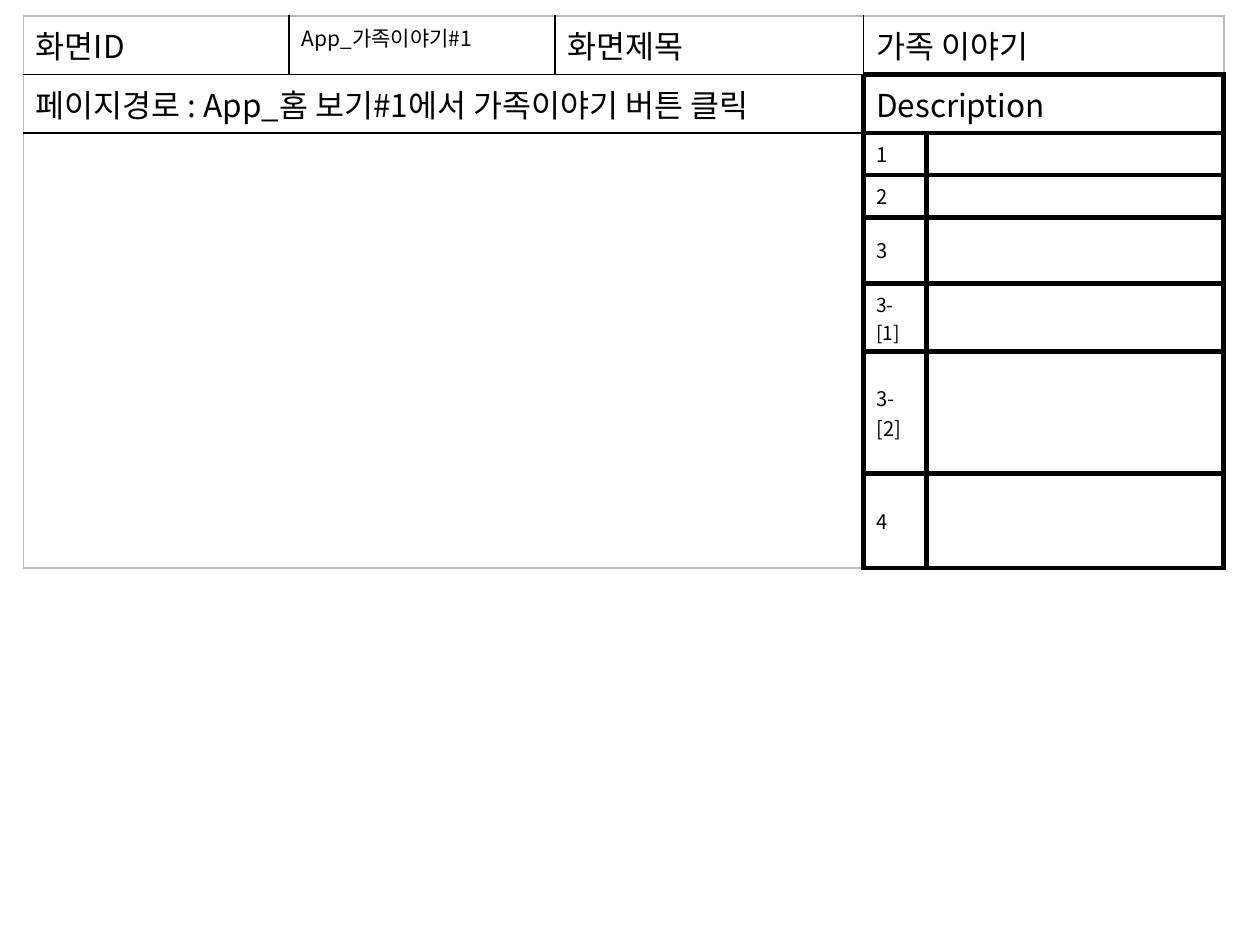
from lxml.etree import SubElement as Sub
from pptx import Presentation as Deck
from pptx.dml.color import RGBColor as Rgb
from pptx.enum.text import MSO_ANCHOR as Anchor
from pptx.oxml import parse_xml as to_xml
from pptx.oxml.ns import nsdecls, qn
from pptx.util import Cm, Pt

FACE = "Noto Sans CJK KR"
INK, EDGE = "000000", "B8B8B8"
COLS = [5.36, 5.36, 6.22, 1.27, 5.99]
ROWS = [1.18, 1.18, 0.85, 0.85, 1.33, 1.37, 2.46, 1.9]
HEAD = [
    (0, 0, 1, 1, "화면ID", 18),
    (0, 1, 1, 1, "App_가족이야기#1", 12),
    (0, 2, 1, 1, "화면제목", 18),
    (0, 3, 1, 2, "가족 이야기", 18),
    (1, 0, 1, 3, "페이지경로 : App_홈 보기#1에서 가족이야기 버튼 클릭", 18),
    (1, 3, 1, 2, "Description", 18),
    (2, 0, 6, 3, "", 11.5),
]
NOTES = [("1", 11.5), ("2", 11.5), ("3", 11.5), ("3-[1]", 11), ("3-[2]", 11.5), ("4", 11.5)]


def color(code):
    return Rgb.from_string(code)


def write(cell, text, size):
    para = cell.text_frame.paragraphs[0]
    if not text:
        Sub(para._p, qn("a:endParaRPr")).set("sz", str(int(size * 100)))
        return
    run = para.add_run()
    run.text = text
    run.font.color.rgb = color(INK)
    for key, value in {"size": Pt(size), "name": FACE, "bold": False}.items():
        setattr(run.font, key, value)
    Sub(run.font._element, qn("a:ea")).set("typeface", FACE)


def rule(cell, edges):
    props = cell._tc.get_or_add_tcPr()
    spot = 0
    for side in "LRTB":
        if side in edges:
            code, width = edges[side]
            line = to_xml(
                f'<a:ln{side} {nsdecls("a")} w="{Pt(width)}"><a:solidFill>'
                f'<a:srgbClr val="{code}"/></a:solidFill></a:ln{side}>'
            )
            props.insert(spot, line)
            spot += 1


def style(row, col, other, outer):
    if any(r >= 1 and 3 <= c < len(COLS) and r < len(ROWS) for r, c in [(row, col), other]):
        return INK, 3
    return (EDGE if outer else INK), 1


def block(table, row, col, high, wide, text, size):
    last, end = row + high - 1, col + wide - 1
    first = table.cell(row, col)
    if high * wide > 1:
        first.merge(table.cell(last, end))
    edges = {
        "L": style(row, col, (row, col - 1), col == 0),
        "R": style(row, col, (row, end + 1), end == len(COLS) - 1),
        "T": style(row, col, (row - 1, col), row == 0),
        "B": style(row, col, (last + 1, col), last == len(ROWS) - 1),
    }
    for r in range(row, last + 1):
        for c in range(col, end + 1):
            cell = table.cell(r, c)
            start = (r, c) == (row, col)
            cell.fill.background()
            write(cell, text if start else "", size)
            if row > 1 and col > 2:
                cell.vertical_anchor = Anchor.MIDDLE
            ends = {"L": c == col, "R": c == end, "T": r == row, "B": r == last}
            rule(cell, {side: line for side, line in edges.items() if start or ends[side]})


def board(slide, left, top):
    size = Cm(sum(COLS)), Cm(sum(ROWS))
    table = slide.shapes.add_table(len(ROWS), len(COLS), left, top, *size).table
    for key in ("first_row", "horz_banding"):
        setattr(table, key, False)
    for col, width in zip(table.columns, COLS):
        col.width = Cm(width)
    for row, height in zip(table.rows, ROWS):
        row.height = Cm(height)
    for part in HEAD:
        block(table, *part)
    for row, (label, points) in enumerate(NOTES, 2):
        block(table, row, 3, 1, 1, label, points)
        block(table, row, 4, 1, 1, "", points)


def main():
    deck = Deck()
    deck.slide_width, deck.slide_height = Cm(25.4), Cm(19.05)
    slide = deck.slides.add_slide(deck.slide_layouts[6])
    board(slide, Cm(0.47), Cm(0.32))
    deck.save("out.pptx")


if __name__ == "__main__":
    main()
